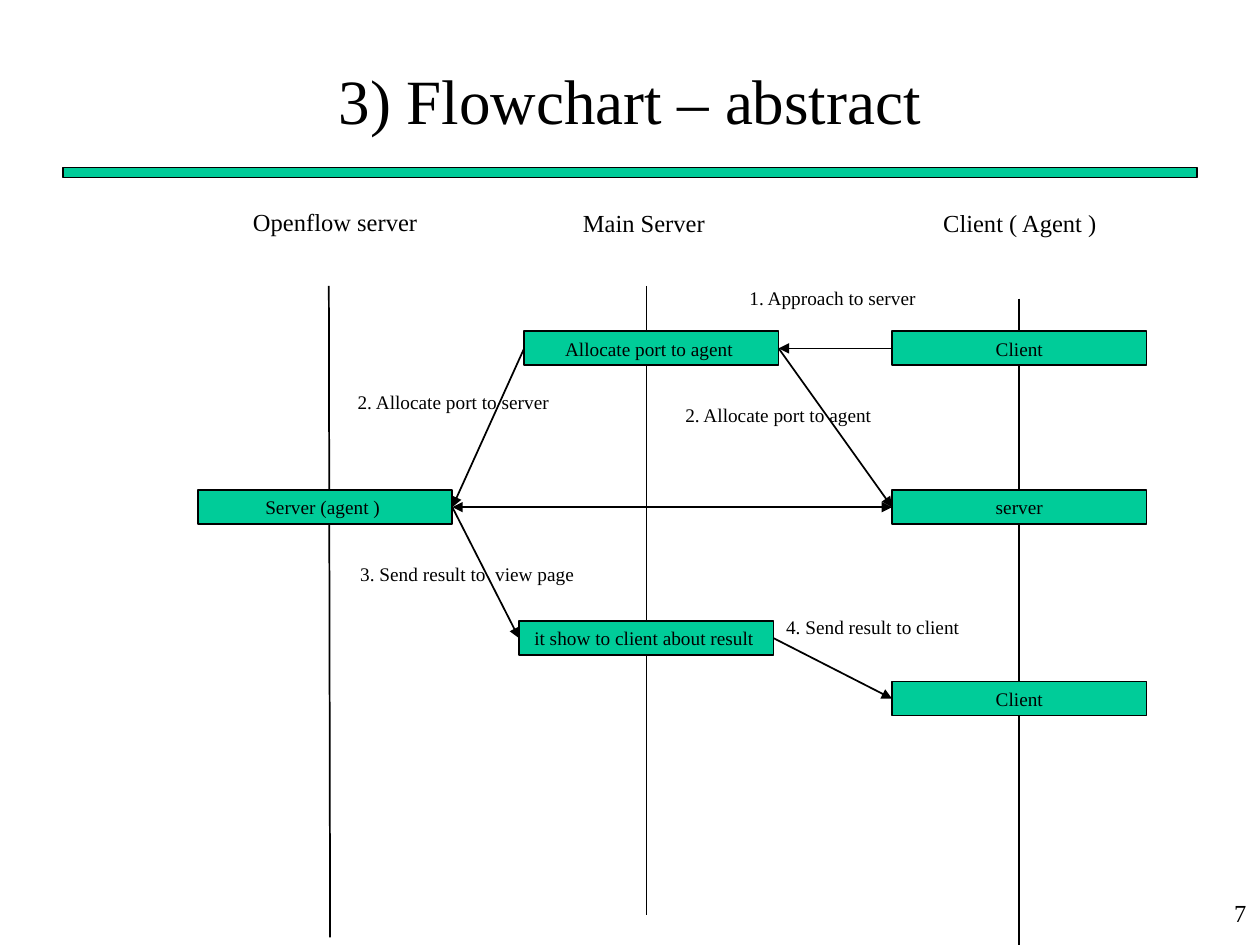
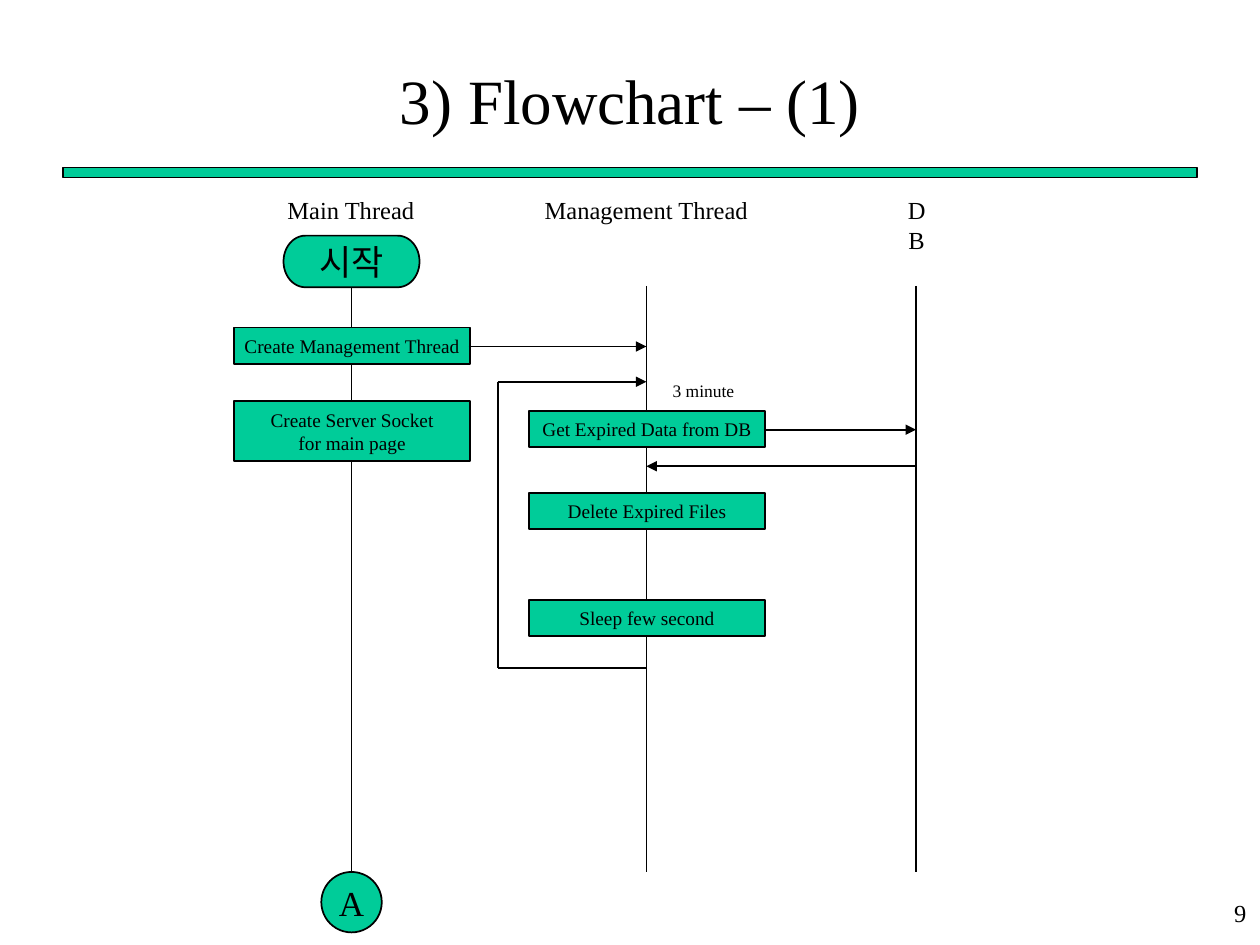
from lxml.etree import SubElement
from pptx import Presentation
from pptx.dml.color import RGBColor
from pptx.enum.shapes import MSO_CONNECTOR, MSO_SHAPE
from pptx.enum.text import MSO_ANCHOR, PP_ALIGN
from pptx.oxml.ns import qn
from pptx.util import Inches, Pt

FONT = "Times New Roman"
GREEN = "00CC99"
BLACK = "000000"
LEFT, RIGHT = 1, 3
MAIN_X = 5.13


def color(hex_string):
    """Turn a hex string into a colour."""
    return RGBColor.from_string(hex_string)


def write(shape, text, size, align, anchor=MSO_ANCHOR.TOP, wrap=False):
    """Put formatted text into a shape."""
    frame = shape.text_frame
    frame.text = text
    frame.word_wrap = wrap
    frame.vertical_anchor = anchor
    for paragraph in frame.paragraphs:
        paragraph.alignment = align
        for run in paragraph.runs:
            run.font.name = FONT
            run.font.size = Pt(size)
            run.font.color.rgb = color(BLACK)


def add_text(slide, text, left, top, width, height=0.29, size=11,
             align=PP_ALIGN.LEFT, anchor=MSO_ANCHOR.TOP, wrap=False):
    """Add a text box."""
    box = slide.shapes.add_textbox(
        Inches(left), Inches(top), Inches(width), Inches(height))
    write(box, text, size, align, anchor, wrap)


def add_box(slide, text, left, top, width, height, size=11,
            kind=MSO_SHAPE.RECTANGLE, line_width=1):
    """Add a green outlined shape with centred text."""
    shape = slide.shapes.add_shape(
        kind, Inches(left), Inches(top), Inches(width), Inches(height))
    shape.shadow.inherit = False
    shape.fill.solid()
    shape.fill.fore_color.rgb = color(GREEN)
    shape.line.color.rgb = color(BLACK)
    shape.line.width = Pt(line_width)
    if text:
        write(shape, text, size, PP_ALIGN.CENTER, MSO_ANCHOR.MIDDLE)
    return shape


def add_line(slide, start, end, ends=()):
    """Add a straight line with arrowheads at the named ends."""
    line = slide.shapes.add_connector(
        MSO_CONNECTOR.STRAIGHT, *(Inches(value) for value in (*start, *end)))
    line.line.color.rgb = color(BLACK)
    line.line.width = Pt(1)
    outline = line.line._get_or_add_ln()
    for name in ends:
        SubElement(outline, qn("a:" + name), type="triangle")
    SubElement(line._element.spPr, qn("a:effectLst"))
    return line


def link(slide, source, source_side, target, target_side, ends=("tailEnd",)):
    """Join the sides of two boxes with an arrow."""
    line = add_line(slide, (0, 0), (1, 1), ends)
    line.begin_connect(source, source_side)
    line.end_connect(target, target_side)


def add_heading(slide, text, left, top, width, wrap=False):
    """Add the name of a column."""
    add_text(slide, text, left, top, width, 0.34, 14, PP_ALIGN.CENTER, wrap=wrap)


def add_base(presentation, title, number):
    """Add a slide with the title, band and page number."""
    slide = presentation.slides.add_slide(presentation.slide_layouts[6])
    add_box(slide, "", 0.5, 1.33, 9, 0.08, line_width=0.75)
    add_text(slide, title, 0.5, 0.33, 9, 0.92, 36, PP_ALIGN.CENTER,
             MSO_ANCHOR.MIDDLE, True)
    add_text(slide, number, 7.91, 7.08, 2.08, 0.42, 14, PP_ALIGN.RIGHT, wrap=True)
    return slide


def build_abstract(presentation):
    """Build the flow between the servers and the client."""
    slide = add_base(presentation, "3) Flowchart – abstract", "7")
    add_line(slide, (2.61, 2.27), (2.62, 7.44))
    add_line(slide, (MAIN_X, 2.27), (MAIN_X, 7.26))
    add_line(slide, (8.09, 2.37), (8.09, 7.5))
    add_heading(slide, "Openflow server", 1.9, 1.59, 1.52)
    add_heading(slide, "Main Server ", 4.52, 1.6, 1.23)
    add_heading(slide, "Client ( Agent )", 7.38, 1.6, 1.43)

    steps = [
        ("Client", 7.08, 2.63),
        ("Allocate port to agent ", 4.16, 2.63),
        ("Server (agent ) ", 1.57, 3.89),
        ("server", 7.08, 3.89),
        ("it show to client about result ", 4.12, 4.93),
        ("Client", 7.08, 5.41),
    ]
    request, allocate, agent, server, result, client = [
        add_box(slide, text, left, top, 2.02, 0.27) for text, left, top in steps]
    link(slide, request, LEFT, allocate, RIGHT)
    link(slide, allocate, LEFT, agent, RIGHT)
    link(slide, allocate, RIGHT, server, LEFT)
    link(slide, agent, RIGHT, server, LEFT, ("headEnd", "tailEnd"))
    link(slide, agent, RIGHT, result, LEFT)
    link(slide, result, RIGHT, client, LEFT)

    for text, left, top, width in [
        ("1. Approach to server ", 5.85, 2.22, 1.57),
        ("2. Allocate port to server", 2.74, 3.05, 1.73),
        ("2. Allocate port to agent", 5.34, 3.15, 1.69),
        ("3. Send result to  view page ", 2.76, 4.41, 1.95),
        ("4. Send result to client", 6.14, 4.83, 1.58),
    ]:
        add_text(slide, text, left, top, width)


def build_threads(presentation):
    """Build the flow between the threads and the database."""
    slide = add_base(presentation, "3) Flowchart – (1)", "9")
    thread_x, data_x, loop_x = 2.79, 7.27, 3.95
    for x in (thread_x, MAIN_X, data_x):
        add_line(slide, (x, 2.27), (x, 6.92))
    add_heading(slide, "Main Thread", 2.18, 1.5, 1.21)
    add_heading(slide, "Management Thread", 4.16, 1.5, 1.94)
    add_heading(slide, "DB", 7.05, 1.5, 0.45, wrap=True)

    add_box(slide, "시작", 2.25, 1.87, 1.08, 0.41, 20,
            MSO_SHAPE.FLOWCHART_TERMINATOR)
    add_box(slide, "A", 2.55, 6.92, 0.48, 0.48, 20,
            MSO_SHAPE.FLOWCHART_CONNECTOR)
    for text, left, top, height in [
        ("Create Management Thread", 1.86, 2.6, 0.29),
        ("Create Server Socket\nfor main page", 1.86, 3.18, 0.48),
        ("Get Expired Data from DB", 4.2, 3.26, 0.29),
        ("Delete Expired Files", 4.2, 3.91, 0.29),
        ("Sleep few second", 4.2, 4.76, 0.29),
    ]:
        add_box(slide, text, left, top, 1.87, height)

    for start_x, end_x, y in [
        (3.72, MAIN_X, 2.75),
        (6.06, data_x, 3.41),
        (data_x, MAIN_X, 3.7),
        (loop_x, MAIN_X, 3.03),
    ]:
        add_line(slide, (start_x, y), (end_x, y), ("tailEnd",))
    add_line(slide, (MAIN_X, 5.3), (loop_x, 5.3))
    add_line(slide, (loop_x, 5.3), (loop_x, 3.03))
    add_text(slide, "3 minute", 5.24, 2.97, 0.71, 0.27, 10)


def main():
    """Build and save the presentation."""
    presentation = Presentation()
    presentation.slide_width = Inches(10)
    presentation.slide_height = Inches(7.5)
    build_abstract(presentation)
    build_threads(presentation)
    presentation.save("out.pptx")


main()
